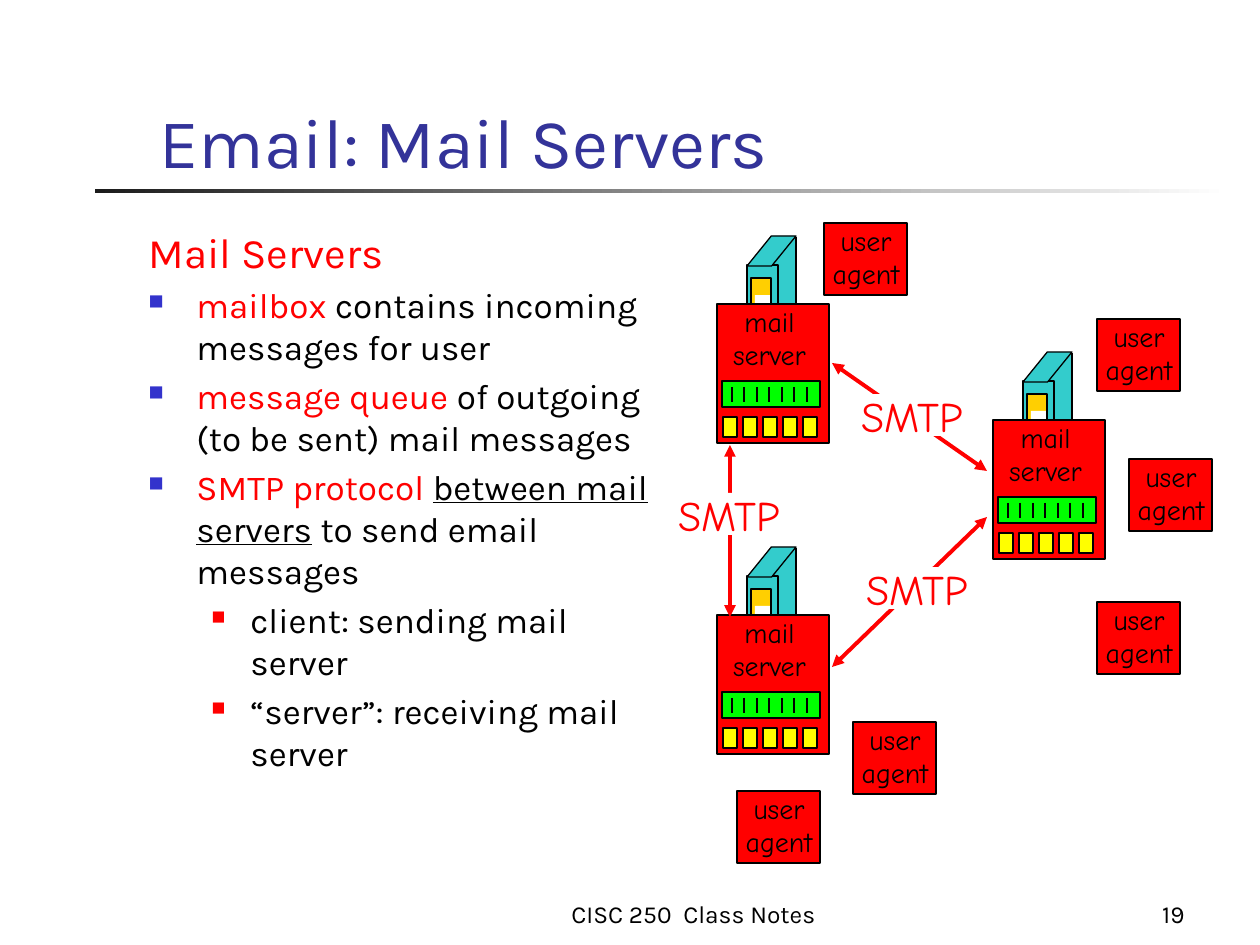
from lxml import etree
from pptx import Presentation
from pptx.dml.color import RGBColor
from pptx.enum.shapes import MSO_CONNECTOR, MSO_SHAPE
from pptx.enum.text import MSO_ANCHOR, PP_ALIGN
from pptx.oxml.ns import qn
from pptx.util import Pt

RECT, SLANT = MSO_SHAPE.RECTANGLE, MSO_SHAPE.PARALLELOGRAM
STRAIGHT = MSO_CONNECTOR.STRAIGHT
LEFT, MID, RIGHT = PP_ALIGN.LEFT, PP_ALIGN.CENTER, PP_ALIGN.RIGHT
TOP, BOTTOM = MSO_ANCHOR.TOP, MSO_ANCHOR.BOTTOM

BLACK = RGBColor(0x00, 0x00, 0x00)
WHITE = RGBColor(0xFF, 0xFF, 0xFF)
DARK = RGBColor(0x1C, 0x1C, 0x1C)
RED = RGBColor(0xFF, 0x00, 0x00)
NAVY = RGBColor(0x33, 0x33, 0x99)
BLUE = RGBColor(0x33, 0x33, 0xCC)
TEAL = RGBColor(0x33, 0xCC, 0xCC)
GOLD = RGBColor(0xFF, 0xCF, 0x01)
GREEN = RGBColor(0x00, 0xFF, 0x00)
YELLOW = RGBColor(0xFF, 0xFF, 0x00)

SANS, COMIC = "Karla", "Comic Neue"
DPI = 126

# Top left corners, in px
SERVERS = [(993, 420), (717, 615), (717, 304)]
AGENTS = [(1097, 319), (1129, 459), (1097, 602),
          (853, 722), (737, 791), (824, 223)]
LABELS = [(857, 567), (852, 394), (669, 493)]
# Start and end of each mail link
LINKS = [(832, 363, 987, 471), (832, 667, 987, 517), (730, 617, 730, 445)]

# Bullet level, then (text, colour, underline) runs
POINTS = [
    (0, [("Mail Servers", RED, False)]),
    (1, [("mailbox", RED, False),
         (" contains incoming messages for user", BLACK, False)]),
    (1, [("message queue", RED, False),
         (" of outgoing (to be sent) mail messages", BLACK, False)]),
    (1, [("SMTP protocol ", RED, False),
         ("between mail servers", BLACK, True),
         (" to send email messages", BLACK, False)]),
    (2, [("client: sending mail server", BLACK, False)]),
    (2, [("“server”: receiving mail server", BLACK, False)]),
]
# Text size, left margin, hanging indent, bullet colour, bullet percent
LEVELS = [(24, 48, 48, None, 0), (20, 48, 48, BLUE, 60), (20, 102, 39, RED, 55)]


def px(num):
    return round(num * 914400 / DPI)


def place(shape, box):
    shape.left, shape.top, shape.width, shape.height = map(px, box)


def add_run(par, text, size=16, font=SANS, color=BLACK, under=False):
    run = par.add_run()
    run.text = text
    run.font.size, run.font.name = Pt(size), font
    run.font.color.rgb = color
    if under:
        run.font.underline = True


def put_text(shapes, text, box, align=LEFT, anchor=TOP, wrap=True, **style):
    frame = shapes.add_textbox(*map(px, box)).text_frame
    frame.word_wrap, frame.vertical_anchor = wrap, anchor
    for num, line in enumerate(text.split("\n")):
        par = frame.add_paragraph() if num else frame.paragraphs[0]
        par.alignment = align
        add_run(par, line, **style)


def add_box(shapes, box, fill, line=0, kind=RECT):
    shape = shapes.add_shape(kind, *map(px, box))
    shape.shadow.inherit = False
    shape.fill.solid()
    shape.fill.fore_color.rgb = fill
    if line:
        shape.line.color.rgb, shape.line.width = BLACK, Pt(line)
    else:
        shape.line.fill.background()
    return shape


def add_line(shapes, ends, color=BLACK, width=0.75, arrow=False):
    wire = shapes.add_connector(STRAIGHT, *map(px, ends))
    wire.line.color.rgb, wire.line.width = color, Pt(width)
    if arrow:
        for tag in ("a:headEnd", "a:tailEnd"):
            etree.SubElement(wire.line._get_or_add_ln(), qn(tag), type="triangle")
    etree.SubElement(wire._element.spPr, qn("a:effectLst"))


def add_bullet(par, margin, hang, color, percent):
    props = par._p.get_or_add_pPr()
    props.set("marL", str(px(margin)))
    props.set("indent", str(-px(hang)))
    if color is not None:
        tint = etree.SubElement(props, qn("a:buClr"))
        etree.SubElement(tint, qn("a:srgbClr"), val=str(color))
        etree.SubElement(props, qn("a:buSzPct"), val=str(percent * 1000))
        etree.SubElement(props, qn("a:buChar"), char="■")


def add_points(shapes):
    frame = shapes.add_textbox(*map(px, (136, 220, 547, 620))).text_frame
    frame.word_wrap = True
    for num, (level, runs) in enumerate(POINTS):
        par = frame.add_paragraph() if num else frame.paragraphs[0]
        size, *bullet = LEVELS[level]
        add_bullet(par, *bullet)
        if num:
            par.space_before = Pt(size / 5)
        for text, color, under in runs:
            add_run(par, text, size=size, color=color, under=under)


def add_server(slide, x, y):
    shapes = slide.shapes.add_group_shape().shapes
    # Tower behind
    add_box(shapes, (x + 55, y - 68, 23, 98), TEAL)
    add_box(shapes, (x + 30, y - 39, 31, 98), TEAL, 0.75)
    roof = add_box(shapes, (x + 30, y - 68, 49, 30), TEAL, 0.75, SLANT)
    roof.adjustments[0] = 0.81
    add_line(shapes, (x + 79, y - 67, x + 79, y + 30))
    add_box(shapes, (x + 34, y - 26, 20, 57), GOLD, 0.75)
    add_box(shapes, (x + 38, y - 9, 15, 20), WHITE)
    # Front panel
    add_box(shapes, (x, y, 112, 139), RED, 1.5)
    put_text(shapes, "mail\nserver", (x - 3, y - 6, 111, 81),
             align=MID, wrap=False, font=COMIC)
    # Message queue
    add_box(shapes, (x + 5, y + 77, 98, 26), GREEN, 1.5)
    for num in range(7):
        mark = x + 15 + num * 25 // 2
        add_line(shapes, (mark, y + 83, mark, y + 98), width=1.5)
    # Mailboxes
    for num in range(5):
        add_box(shapes, (x + 6 + 20 * num, y + 113, 14, 20), YELLOW, 0.75)


def add_agent(slide, x, y):
    shapes = slide.shapes.add_group_shape().shapes
    add_box(shapes, (x, y, 83, 72), RED, 1.5)
    put_text(shapes, "user\nagent", (x - 7, y - 6, 98, 81),
             align=MID, wrap=False, font=COMIC)


def add_label(slide, x, y):
    shapes = slide.shapes.add_group_shape().shapes
    add_box(shapes, (x, y, 118, 42), WHITE)
    put_text(shapes, "SMTP", (x - 11, y - 10, 142, 63), align=MID,
             wrap=False, size=24, font=COMIC, color=RED)


def add_title(slide, text):
    title = slide.shapes.title
    place(title, (147, 32, 1071, 157))
    frame = title.text_frame
    frame.vertical_anchor = BOTTOM
    frame.paragraphs[0].alignment = LEFT
    add_run(frame.paragraphs[0], text, size=40, color=NAVY)


def add_rule(shapes):
    rule = add_box(shapes, (95, 189, 1134, 4), DARK)
    rule.fill.gradient()
    rule.fill.gradient_angle = 0
    for stop, color in zip(rule.fill.gradient_stops, (DARK, WHITE)):
        stop.color.rgb = color


def main():
    deck = Presentation()
    deck.slide_width, deck.slide_height = px(1260), px(945)
    slide = deck.slides.add_slide(deck.slide_layouts[5])
    shapes = slide.shapes

    # Frame of the slide
    add_rule(shapes)
    add_title(slide, "Email: Mail Servers")
    put_text(shapes, "CISC 250  Class Notes", (431, 872, 525, 63),
             align=MID, anchor=BOTTOM, size=14)
    put_text(shapes, "19", (1081, 872, 116, 63),
             align=RIGHT, anchor=BOTTOM, size=14)

    # Notes
    add_points(shapes)

    # Mail diagram
    for spot in SERVERS:
        add_server(slide, *spot)
    for spot in AGENTS:
        add_agent(slide, *spot)
    for ends in LINKS:
        add_line(shapes, ends, color=RED, width=2.25, arrow=True)
    for spot in LABELS:
        add_label(slide, *spot)

    deck.save("out.pptx")


if __name__ == "__main__":
    main()
